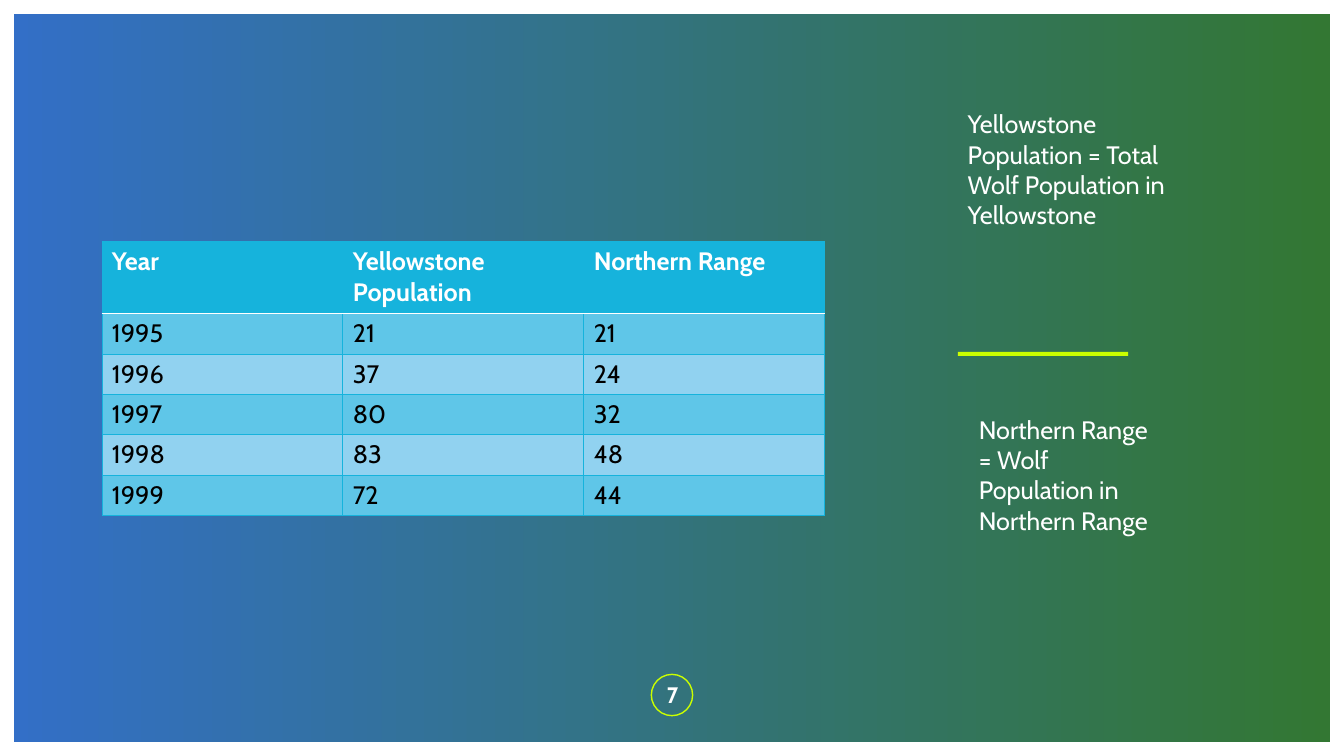
from dataclasses import dataclass

from lxml.etree import SubElement
from pptx import Presentation
from pptx.dml.color import RGBColor
from pptx.enum.shapes import MSO_SHAPE as SHAPE
from pptx.enum.text import MSO_ANCHOR as ANCHOR, PP_ALIGN as ALIGN
from pptx.oxml import parse_xml
from pptx.oxml.ns import nsdecls, qn
from pptx.util import Inches, Pt


@dataclass(frozen=True)
class Theme:
    """Colours and type sizes of the slide."""
    font: str = "Cabin"
    body: int = 18
    number: int = 16
    white: str = "FFFFFF"
    black: str = "000000"
    lime: str = "CBFF00"
    blue: str = "004CB9"
    green: str = "005500"
    cyan: str = "16B3DC"
    bands: tuple = ("5FC6E8", "91D2F0")


THEME = Theme()

ROWS = [
    ("Year", "Yellowstone Population", "Northern Range"),
    (1995, 21, 21),
    (1996, 37, 24),
    (1997, 80, 32),
    (1998, 83, 48),
    (1999, 72, 44),
]


def rgb(code):
    """Turn a hex code into a colour."""
    return RGBColor.from_string(code)


def add_run(p, text, color, size=THEME.body, bold=False):
    """Append one styled run to a paragraph."""
    r = p.add_run()
    r.text = str(text)
    r.font.name = THEME.font
    r.font.size = Pt(size)
    r.font.bold = bold
    r.font.color.rgb = rgb(color)


def add_shape(slide, kind, x, y, w, h, fill=None, line=None):
    """Draw a flat preset shape with an optional fill and outline."""
    sp = slide.shapes.add_shape(kind, Inches(x), Inches(y), Inches(w), Inches(h))
    sp.shadow.inherit = False
    if fill:
        sp.fill.solid()
        sp.fill.fore_color.rgb = rgb(fill)
    else:
        sp.fill.background()
    if line:
        sp.line.color.rgb = rgb(line)
        sp.line.width = Pt(1)
    else:
        sp.line.fill.background()
    return sp


def add_gradient_panel(slide, x, y, w, h, colors, opacity):
    """Draw a rectangle with a translucent left-to-right gradient."""
    sp = add_shape(slide, SHAPE.RECTANGLE, x, y, w, h)
    sp.fill.gradient()
    sp.fill.gradient_angle = 0
    for stop, position, color in zip(sp.fill.gradient_stops, (0, 1), colors):
        stop.position = position
        stop.color.rgb = rgb(color)
    for clr in sp.fill._xPr.iter(qn("a:srgbClr")):
        SubElement(clr, qn("a:alpha"), val=str(opacity * 1000))


def add_text(slide, x, y, w, h, text, size=THEME.body, bold=False,
             align=ALIGN.LEFT, anchor=ANCHOR.TOP):
    """Place a wrapped white text box."""
    tf = slide.shapes.add_textbox(Inches(x), Inches(y), Inches(w), Inches(h)).text_frame
    tf.word_wrap = True
    tf.vertical_anchor = anchor
    p = tf.paragraphs[0]
    p.alignment = align
    add_run(p, text, THEME.white, size, bold)


def set_borders(cell, bottom_color, bottom_width):
    """Outline a cell in cyan, with its own bottom edge."""
    tc_pr = cell._tc.get_or_add_tcPr()
    edges = [(side, THEME.cyan, 0.5) for side in "LRT"]
    edges.append(("B", bottom_color, bottom_width))
    for i, (side, color, width) in enumerate(edges):
        tc_pr.insert(i, parse_xml(
            f'<a:ln{side} {nsdecls("a")} w="{Pt(width)}"><a:solidFill>'
            f'<a:srgbClr val="{color}"/></a:solidFill></a:ln{side}>'))


def add_table(slide, x, y, col_width, header_height, row_height, rows):
    """Build a banded table with a bold header row."""
    n_rows, n_cols = len(rows), len(rows[0])
    height = header_height + row_height * (n_rows - 1)
    table = slide.shapes.add_table(
        n_rows, n_cols, Inches(x), Inches(y),
        Inches(col_width * n_cols), Inches(height)).table
    for col in table.columns:
        col.width = Inches(col_width)
    for i, values in enumerate(rows):
        header = i == 0
        table.rows[i].height = Inches(header_height if header else row_height)
        for j, value in enumerate(values):
            cell = table.cell(i, j)
            cell.fill.solid()
            cell.fill.fore_color.rgb = rgb(THEME.cyan if header else THEME.bands[(i - 1) % 2])
            if header or i == 1:
                edge = (THEME.white, 1) if header else (THEME.cyan, 0.5)
            else:
                edge = (THEME.cyan, 0.5)
            set_borders(cell, *edge)
            add_run(cell.text_frame.paragraphs[0], value,
                    THEME.white if header else THEME.black, bold=header)
            if i == 1:
                top = cell._tc.tcPr.find(qn("a:lnT"))
                top.set("w", str(Pt(1)))
                top.find(".//" + qn("a:srgbClr")).set("val", THEME.white)


def main():
    """Build the wolf population slide."""
    prs = Presentation()
    prs.slide_width, prs.slide_height = Inches(13.33), Inches(7.5)
    slide = prs.slides.add_slide(prs.slide_layouts[6])
    add_gradient_panel(slide, 0.14, 0.14, 13.05, 7.22, (THEME.blue, THEME.green), 80)
    add_shape(slide, SHAPE.OVAL, 6.46, 6.69, 0.41, 0.41, line=THEME.lime)
    add_shape(slide, SHAPE.RECTANGLE, 9.5, 3.49, 1.69, 0.04, fill=THEME.lime)
    add_text(slide, 6.37, 6.69, 0.6, 0.4, "7", THEME.number, True,
             ALIGN.CENTER, ANCHOR.MIDDLE)
    add_table(slide, 1.01, 2.39, 2.39, 0.72, 0.4, ROWS)
    add_text(slide, 9.5, 1.03, 2.54, 1.31,
             "Yellowstone Population = Total Wolf Population in Yellowstone")
    add_text(slide, 9.61, 4.06, 2, 1.31,
             "Northern Range = Wolf Population in Northern Range")
    prs.save("out.pptx")


if __name__ == "__main__":
    main()
